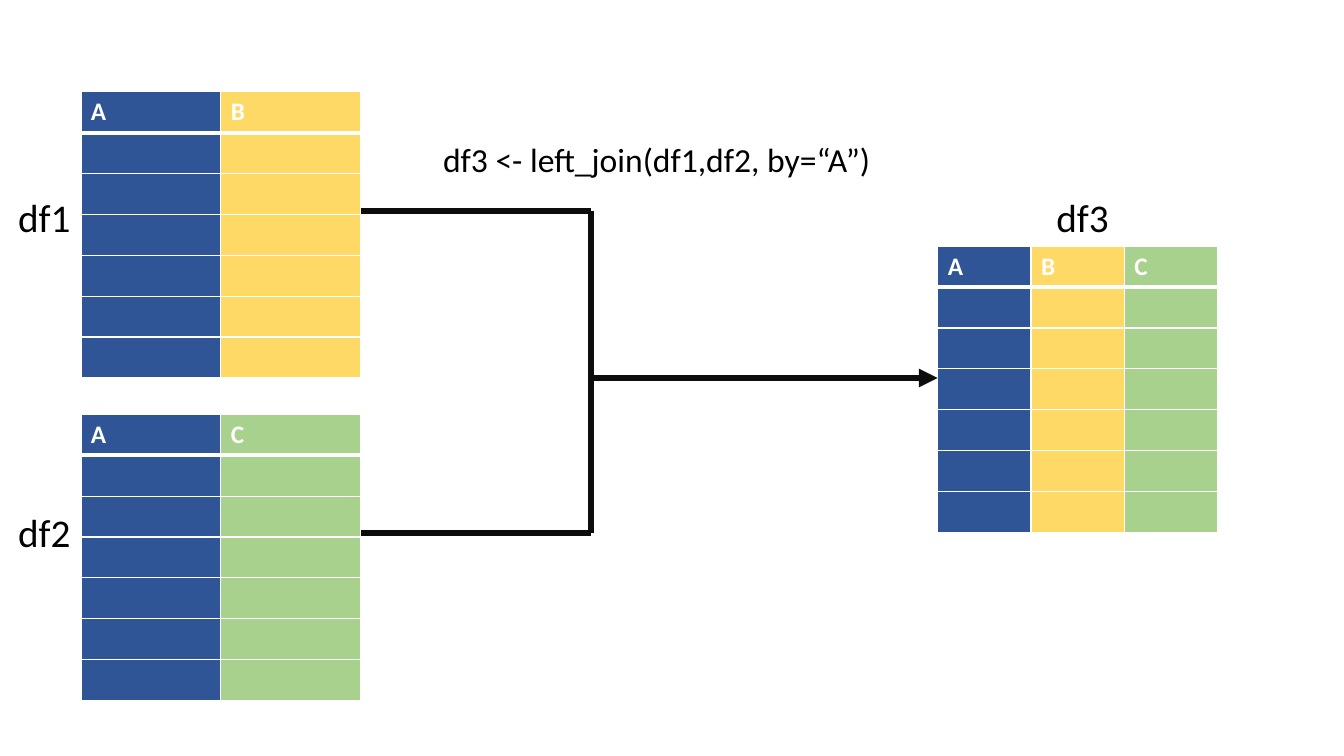
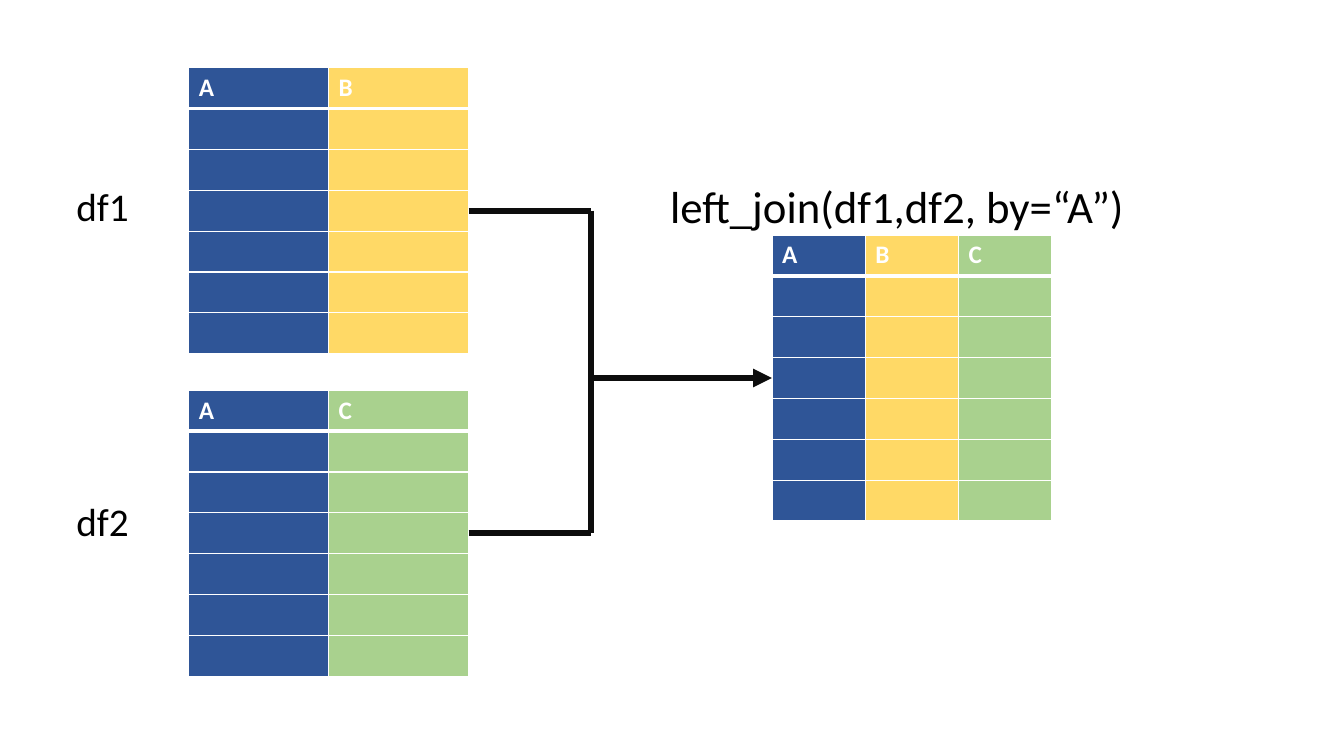
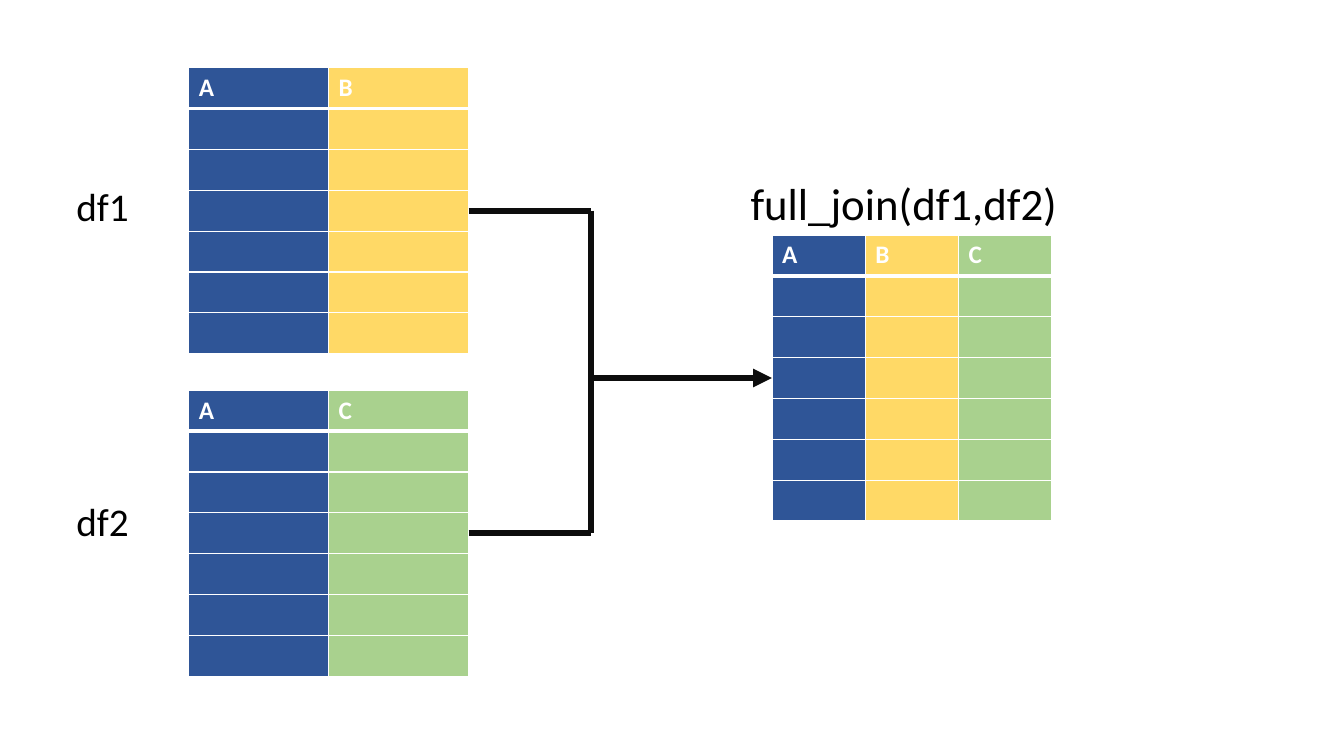
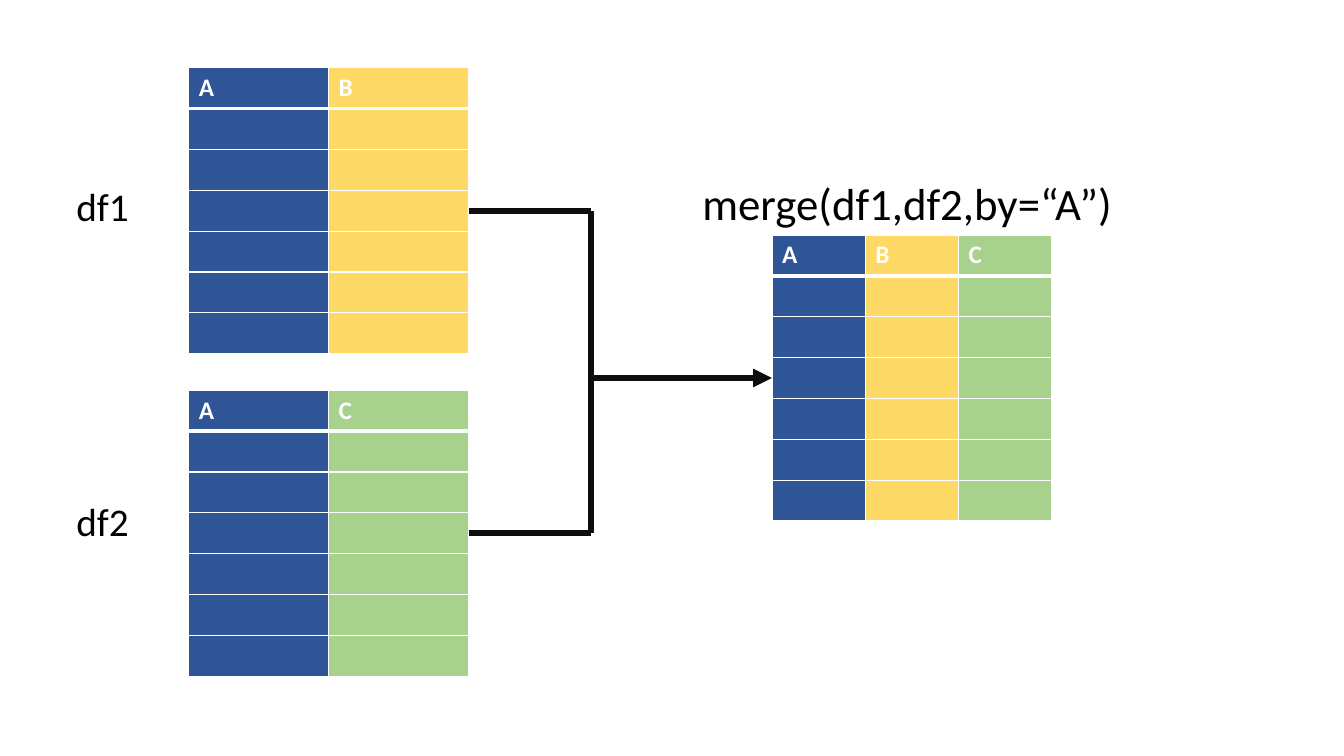
from dataclasses import dataclass

from lxml import etree
from pptx import Presentation
from pptx.dml import color as dml
from pptx.enum import shapes, text
from pptx.oxml import ns
from pptx.slide import Slide
from pptx.util import Pt

BLUE = dml.RGBColor(0x2F, 0x55, 0x97)
YELLOW = dml.RGBColor(0xFF, 0xD9, 0x66)
GREEN = dml.RGBColor(0xA9, 0xD1, 0x8E)
WHITE = dml.RGBColor(0xFF, 0xFF, 0xFF)
BLACK = dml.RGBColor(0x00, 0x00, 0x00)
INK = dml.RGBColor(0x0D, 0x0D, 0x0D)
COLUMN_COLORS = {"A": BLUE, "B": YELLOW, "C": GREEN}

FONT = "Calibri"
FRAME_WIDTH = 200
ROW_COUNT = 7
ROW_HEIGHT = 29.2
FRAME_PITCH = 230.4
LABEL_PITCH = 225
LABEL_WIDTH, LABEL_HEIGHT = 62, 41.2
BRACKET_X = 422
BRACKET_TOP = 150.5
ARROW_Y = 270


@dataclass(frozen=True)
class Label:
    content: str
    left: float
    top: float
    width: float = LABEL_WIDTH
    height: float = LABEL_HEIGHT
    size: float = 28


@dataclass(frozen=True)
class Arrangement:
    inputs_left: float
    inputs_top: float
    result_left: float
    result_top: float
    label_left: float
    label_top: float


@dataclass(frozen=True)
class Join:
    arrangement: Arrangement
    call: Label
    result_label: Label | None = None


ASSIGNED = Arrangement(57.8, 65.6, 669.8, 175.9, 5.8, 134.8)
DIRECT = Arrangement(134.8, 48.3, 551.4, 167.8, 47.4, 126.7)

JOINS = (
    Join(
        ASSIGNED,
        Label("df3 <- left_join(df1,df2, by=“A”)", 309.4, 96, 360, 36.4, 24),
        Label("df3", 747.5, ASSIGNED.label_top),
    ),
    Join(DIRECT, Label("left_join(df1,df2, by=“A”)", 471.6, 124, 360, 46, 32)),
    Join(DIRECT, Label("full_join(df1,df2)", 529, 121.7, 245, 46, 32)),
    Join(DIRECT, Label("merge(df1,df2,by=“A”)", 494.6, 121.7, 314, 46, 32)),
)


def write(
    frame, content: str, *, size: float, color: dml.RGBColor = BLACK, bold: bool = False
) -> None:
    run = frame.paragraphs[0].add_run()
    run.text = content
    run.font.name = FONT
    run.font.size = Pt(size)
    run.font.color.rgb = color
    run.font.bold = bold


def add_label(slide: Slide, label: Label) -> None:
    box = slide.shapes.add_textbox(
        Pt(label.left), Pt(label.top), Pt(label.width), Pt(label.height)
    )
    frame = box.text_frame
    frame.word_wrap = True
    frame.auto_size = text.MSO_AUTO_SIZE.SHAPE_TO_FIT_TEXT
    write(frame, label.content, size=label.size)


def add_border(cell, side: str, width: float) -> None:
    border = etree.SubElement(
        cell._tc.get_or_add_tcPr(), ns.qn(f"a:{side}"), w=str(Pt(width))
    )
    fill = etree.SubElement(border, ns.qn("a:solidFill"))
    etree.SubElement(fill, ns.qn("a:srgbClr"), val=str(WHITE))


def add_data_frame(slide: Slide, columns: str, left: float, top: float) -> None:
    table = slide.shapes.add_table(
        ROW_COUNT, len(columns), Pt(left), Pt(top),
        Pt(FRAME_WIDTH), Pt(ROW_COUNT * ROW_HEIGHT),
    ).table
    table.horz_banding = False
    for row_index, row in enumerate(table.rows):
        row.height = Pt(ROW_HEIGHT)
        for column, cell in zip(columns, row.cells):
            add_border(cell, "lnL", 1)
            add_border(cell, "lnR", 1)
            add_border(cell, "lnT", 3 if row_index == 1 else 1)
            add_border(cell, "lnB", 3 if row_index == 0 else 1)
            cell.fill.solid()
            cell.fill.fore_color.rgb = COLUMN_COLORS[column]
            if row_index == 0:
                write(cell.text_frame, column, size=18, color=WHITE, bold=True)


def add_line(
    slide: Slide, x1: float, y1: float, x2: float, y2: float, arrow: bool = False
) -> None:
    connector = slide.shapes.add_connector(
        shapes.MSO_CONNECTOR.STRAIGHT, Pt(x1), Pt(y1), Pt(x2), Pt(y2)
    )
    connector.line.color.rgb = INK
    connector.line.width = Pt(4.5)
    properties = connector._element.spPr
    if arrow:
        outline = properties.find(ns.qn("a:ln"))
        etree.SubElement(outline, ns.qn("a:tailEnd"), type="triangle")
    etree.SubElement(properties, ns.qn("a:effectLst"))


def add_bracket(slide: Slide, left: float, right: float) -> None:
    bottom = BRACKET_TOP + FRAME_PITCH
    for y in (BRACKET_TOP, bottom):
        add_line(slide, left, y, BRACKET_X, y)
    add_line(slide, BRACKET_X, BRACKET_TOP, BRACKET_X, bottom)
    add_line(slide, BRACKET_X, ARROW_Y, right, ARROW_Y, arrow=True)


def draw_join(slide: Slide, join: Join) -> None:
    place = join.arrangement
    inputs = (("df1", "AB"), ("df2", "AC"))
    for index, (_, columns) in enumerate(inputs):
        add_data_frame(
            slide, columns, place.inputs_left, place.inputs_top + index * FRAME_PITCH
        )
    add_data_frame(slide, "ABC", place.result_left, place.result_top)
    add_label(slide, join.call)
    add_bracket(slide, place.inputs_left + FRAME_WIDTH, place.result_left)
    for index, (name, _) in enumerate(inputs):
        add_label(
            slide, Label(name, place.label_left, place.label_top + index * LABEL_PITCH)
        )
    if join.result_label:
        add_label(slide, join.result_label)


def main() -> None:
    deck = Presentation()
    deck.slide_width, deck.slide_height = Pt(960), Pt(540)
    blank = deck.slide_layouts[6]
    for join in JOINS:
        draw_join(deck.slides.add_slide(blank), join)
    deck.save("out.pptx")


main()
